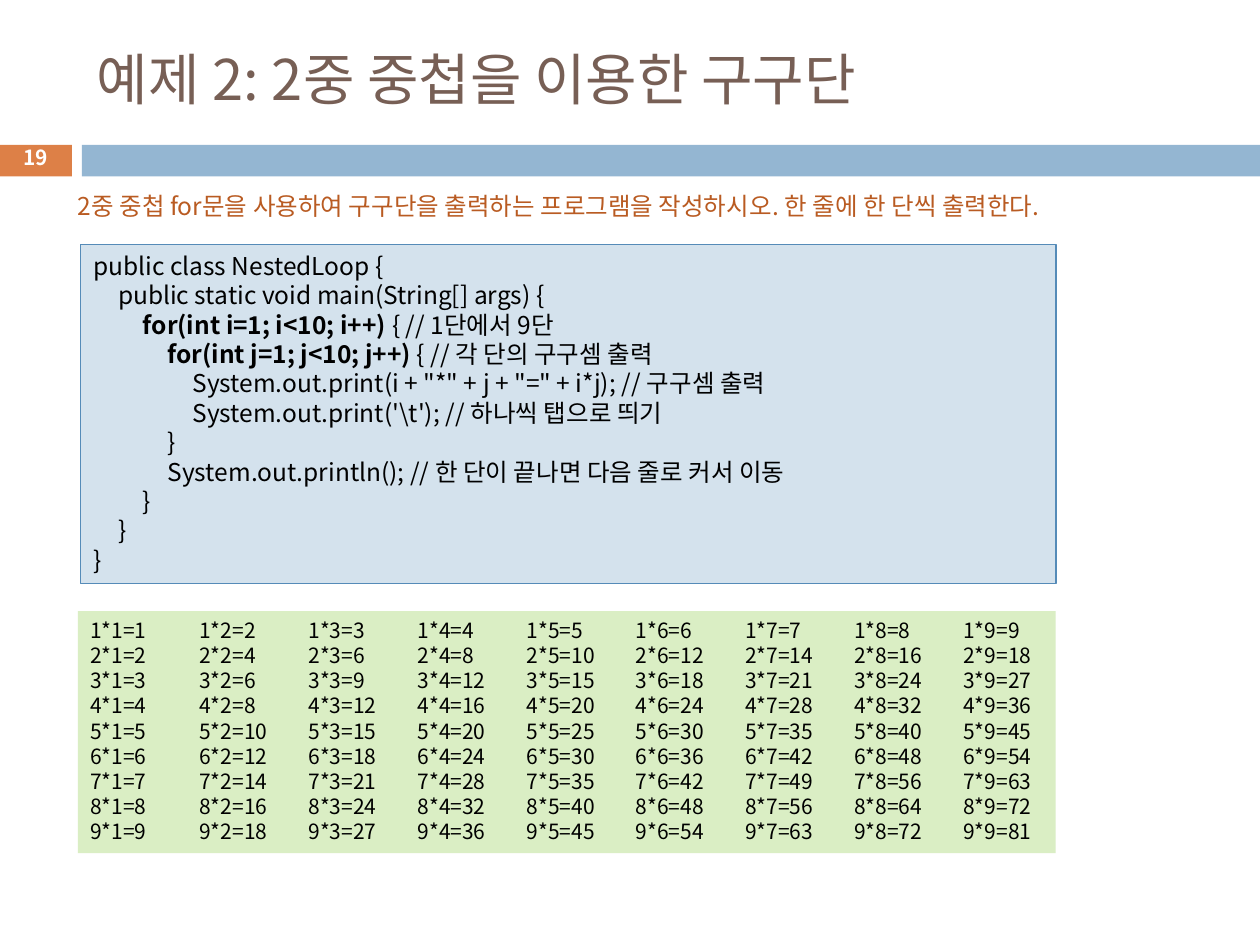
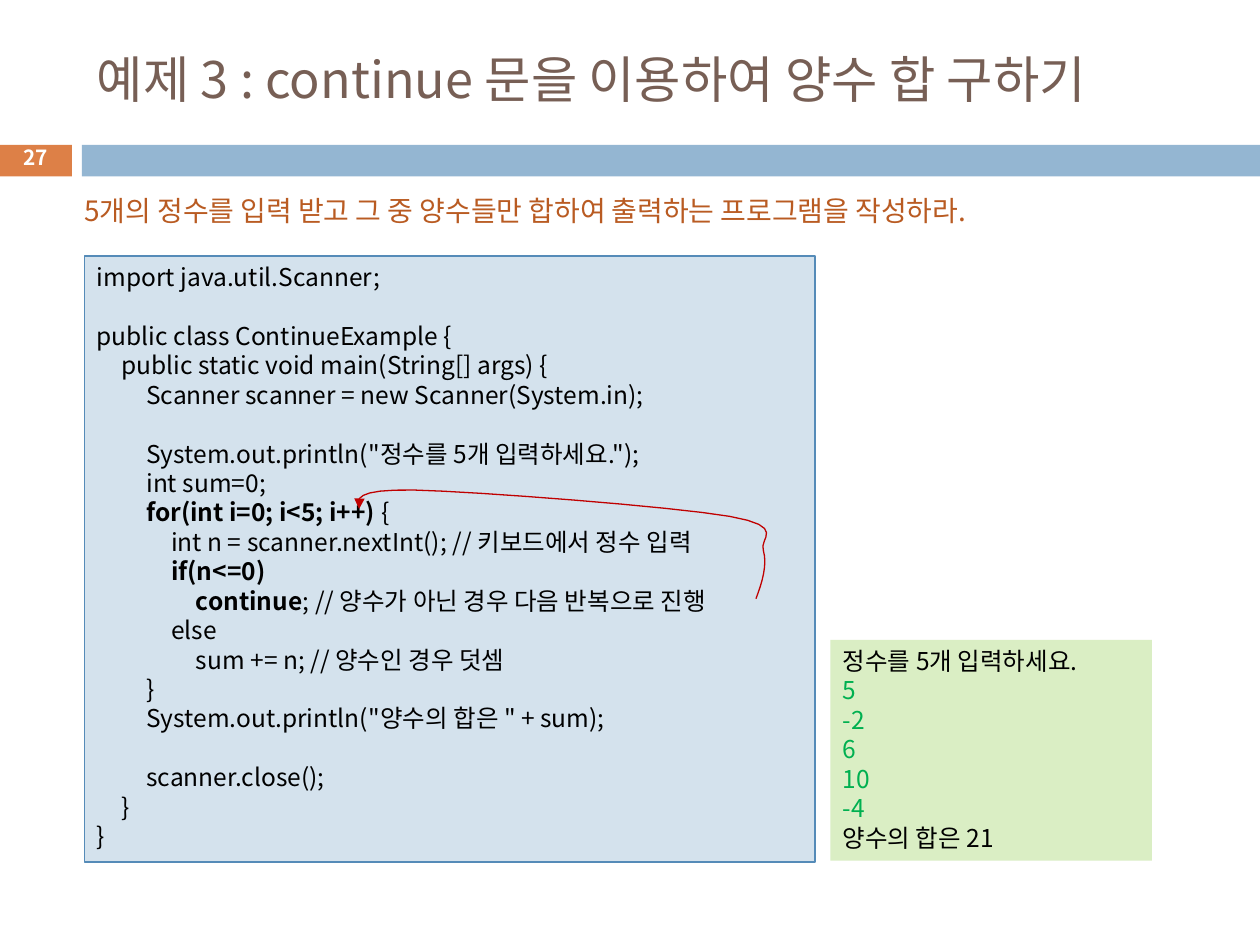
from dataclasses import dataclass
from typing import NamedTuple

from lxml.etree import SubElement
from pptx import Presentation
from pptx.dml.color import RGBColor
from pptx.enum.shapes import MSO_SHAPE as Preset
from pptx.enum.text import MSO_ANCHOR as Anchor, MSO_AUTO_SIZE as AutoSize, PP_ALIGN as Align
from pptx.oxml.ns import qn
from pptx.util import Cm, Pt

FONT = "Noto Sans CJK KR"
BLACK, WHITE = "000000", "FFFFFF"
TITLE_BROWN, PROMPT_ORANGE = "775F55", "B95B22"
BAND_ORANGE, BAND_BLUE = "DD8047", "94B6D2"
CODE_FILL, CODE_LINE = "D4E2ED", "558BB8"
CONSOLE_FILL, INPUT_GREEN, ARROW_RED = "DAEEC4", "00B050", "C00000"
BOLD_MARK = "**"
CURVE_STEPS = 8


class Box(NamedTuple):
    """Left, top, width and height in centimetres."""
    left: float
    top: float
    width: float
    height: float

    def lengths(self) -> list[Cm]:
        return [Cm(value) for value in self]


@dataclass
class TextStyle:
    size: float
    color: str = BLACK
    bold: bool = False
    align: Align = Align.LEFT
    anchor: Anchor = Anchor.TOP
    spacing: float | None = None
    tab_step: float = 0
    tab_count: int = 0


@dataclass
class Panel:
    box: Box
    text: str
    style: TextStyle


@dataclass
class Example:
    number: int
    title: Panel
    prompt: Panel
    code: Panel
    console: Panel


NUMBER_BAND = Box(-0.02, 2.92, 1.47, 0.64)
TITLE_BAND = Box(1.65, 2.92, 23.75, 0.64)
NUMBER_BOX = Box(-0.02, 2.87, 1.47, 0.69)
NUMBER_STYLE = TextStyle(11.9, WHITE, True, Align.CENTER, Anchor.MIDDLE, spacing=0.8)
CODE_STYLE = TextStyle(14, tab_step=0.5, tab_count=4)
TABLE_STYLE = TextStyle(12, tab_step=2.2, tab_count=8)


def title_style(size: float) -> TextStyle:
    return TextStyle(size, TITLE_BROWN, anchor=Anchor.MIDDLE)


NESTED_LOOP_CODE = r"""public class NestedLoop {
	public static void main(String[] args) {
		**for(int i=1; i<10; i++) **{ // 1단에서 9단
			**for(int j=1; j<10; j++) **{ // 각 단의 구구셈 출력
				System.out.print(i + "*" + j + "=" + i*j); // 구구셈 출력
				System.out.print('\t'); // 하나씩 탭으로 띄기
			}
			System.out.println(); // 한 단이 끝나면 다음 줄로 커서 이동
		}
	}
}"""

CONTINUE_CODE = """import java.util.Scanner;

public class ContinueExample {
	public static void main(String[] args) {
		Scanner scanner = new Scanner(System.in);

		System.out.println("정수를 5개 입력하세요.");
		int sum=0;
		**for(int i=0; i<5; i++) **{
			int n = scanner.nextInt(); // 키보드에서 정수 입력
			**if(n<=0)**
				**continue**; // 양수가 아닌 경우 다음 반복으로 진행
			else
				sum += n; // 양수인 경우 덧셈
		}
		System.out.println("양수의 합은 " + sum);

		scanner.close();
	}
}"""

TIMES_TABLE = "\n".join(
    "\t".join(f"{i}*{j}={i * j}" for j in range(1, 10)) for i in range(1, 10))

EXAMPLES = [
    Example(
        19,
        Panel(Box(1.7, 0.64, 22.66, 1.88), "예제 2: 2중 중첩을 이용한 구구단", title_style(32)),
        Panel(Box(1.32, 3.73, 22.17, 0.86),
              "2중 중첩 for문을 사용하여 구구단을 출력하는 프로그램을 작성하시오. 한 줄에 한 단씩 출력한다.",
              TextStyle(14, PROMPT_ORANGE)),
        Panel(Box(1.63, 4.93, 19.66, 6.83), NESTED_LOOP_CODE, CODE_STYLE),
        Panel(Box(1.57, 12.32, 19.71, 4.88), TIMES_TABLE, TABLE_STYLE),
    ),
    Example(
        27,
        Panel(Box(1.7, 0.64, 23.6, 1.88), "예제 3 : continue 문을 이용하여 양수 합 구하기",
              title_style(28.8)),
        Panel(Box(1.45, 3.78, 21.72, 0.94),
              "5개의 정수를 입력 받고 그 중 양수들만 합하여 출력하는 프로그램을 작성하라.",
              TextStyle(16, PROMPT_ORANGE)),
        Panel(Box(1.7, 5.16, 14.73, 12.22), CONTINUE_CODE, CODE_STYLE),
        Panel(Box(16.74, 12.9, 6.48, 4.45),
              "정수를 5개 입력하세요.\n5\n-2\n6\n10\n-4\n양수의 합은 21", TextStyle(14)),
    ),
]

# Start point, then two control points and an end point for each curve.
LOOP_BACK = [(15.24, 12.07),
             (15.37, 11.73), (15.47, 11.38), (15.39, 11.1),
             (15.29, 10.85), (15.88, 10.62), (14.71, 10.41),
             (13.54, 10.21), (9.6, 9.91), (8.36, 9.88),
             (7.14, 9.86), (7.19, 10.06), (7.24, 10.26)]


def rgb(color: str) -> RGBColor:
    return RGBColor.from_string(color)


def style_run(run, style: TextStyle, bold: bool, color: str) -> None:
    run.font.size = Pt(style.size)
    run.font.bold = bold
    run.font.color.rgb = rgb(color)
    run.font.name = FONT
    SubElement(run.font._element, qn("a:ea"), typeface=FONT)


def add_tab_stops(paragraph, style: TextStyle) -> None:
    tab_list = SubElement(paragraph._p.get_or_add_pPr(), qn("a:tabLst"))
    for index in range(1, style.tab_count + 1):
        SubElement(tab_list, qn("a:tab"), pos=str(Cm(style.tab_step * index)), algn="l")


def write_text(shape, text: str, style: TextStyle) -> None:
    """Fill the shape line by line; parts between bold marks are bold, numeric input is green."""
    text_frame = shape.text_frame
    text_frame.word_wrap = True
    text_frame.auto_size = AutoSize.NONE
    text_frame.vertical_anchor = style.anchor
    text_frame.text = text
    for paragraph in text_frame.paragraphs:
        line = paragraph.text
        if style.tab_count:
            add_tab_stops(paragraph, style)
        paragraph.alignment = style.align
        paragraph.line_spacing = style.spacing or Pt(style.size * 1.2)
        is_input = style.color == BLACK and line.lstrip("-").isdigit()
        color = INPUT_GREEN if is_input else style.color
        paragraph.clear()
        for index, part in enumerate(line.split(BOLD_MARK)):
            if part:
                run = paragraph.add_run()
                run.text = part
                style_run(run, style, style.bold or index % 2 == 1, color)
        if not line:
            SubElement(paragraph._p, qn("a:endParaRPr"), sz=str(int(style.size * 100)))


def add_rectangle(slide, box: Box, fill: str, line: str | None = None):
    shape = slide.shapes.add_shape(Preset.RECTANGLE, *box.lengths())
    shape.shadow.inherit = False
    shape.fill.solid()
    shape.fill.fore_color.rgb = rgb(fill)
    if line:
        shape.line.color.rgb = rgb(line)
        shape.line.width = Pt(0.75)
    else:
        shape.line.fill.background()
    return shape


def add_label(slide, panel: Panel) -> None:
    write_text(slide.shapes.add_textbox(*panel.box.lengths()), panel.text, panel.style)


def set_title(slide, panel: Panel) -> None:
    title = slide.shapes.title
    title.left, title.top, title.width, title.height = panel.box.lengths()
    write_text(title, panel.text, panel.style)


def curve_points(points: list[tuple[float, float]]) -> list[tuple[Cm, Cm]]:
    """Sample the chained cubic curves evenly."""
    sampled = []
    for start in range(0, len(points) - 1, 3):
        controls = points[start:start + 4]
        for step in range(1, CURVE_STEPS + 1):
            t = step / CURVE_STEPS
            weights = ((1 - t) ** 3, 3 * t * (1 - t) ** 2, 3 * t ** 2 * (1 - t), t ** 3)
            sampled.append(tuple(
                Cm(sum(weight * point[axis] for weight, point in zip(weights, controls)))
                for axis in (0, 1)))
    return sampled


def add_curved_arrow(slide, points: list[tuple[float, float]]) -> None:
    builder = slide.shapes.build_freeform(*(Cm(value) for value in points[0]))
    builder.add_line_segments(curve_points(points), close=False)
    arrow = builder.convert_to_shape()
    arrow.shadow.inherit = False
    arrow.fill.background()
    arrow.line.color.rgb = rgb(ARROW_RED)
    arrow.line.width = Pt(0.75)
    SubElement(arrow.line._get_or_add_ln(), qn("a:tailEnd"), type="triangle")


def add_example(presentation, example: Example):
    slide = presentation.slides.add_slide(presentation.slide_layouts[5])
    add_rectangle(slide, NUMBER_BAND, BAND_ORANGE)
    add_rectangle(slide, TITLE_BAND, BAND_BLUE)
    set_title(slide, example.title)
    code = example.code
    write_text(add_rectangle(slide, code.box, CODE_FILL, CODE_LINE), code.text, code.style)
    add_label(slide, example.prompt)
    console = example.console
    write_text(add_rectangle(slide, console.box, CONSOLE_FILL), console.text, console.style)
    add_label(slide, Panel(NUMBER_BOX, str(example.number), NUMBER_STYLE))
    return slide


def main() -> None:
    presentation = Presentation()
    presentation.slide_width, presentation.slide_height = Cm(25.4), Cm(19.05)
    nested_loop_slide, continue_slide = [add_example(presentation, example)
                                         for example in EXAMPLES]
    add_curved_arrow(continue_slide, LOOP_BACK)
    presentation.save("out.pptx")


if __name__ == "__main__":
    main()
